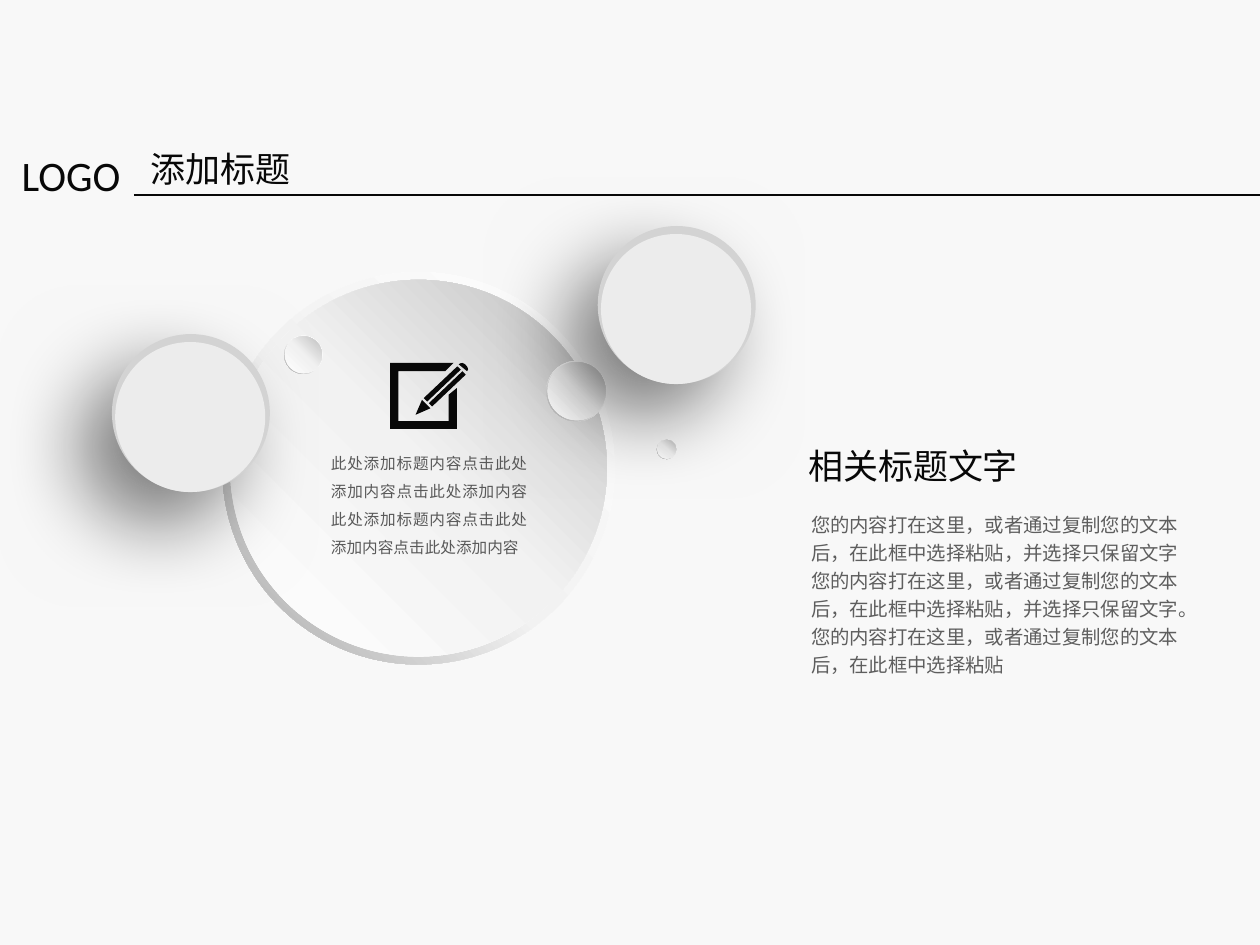
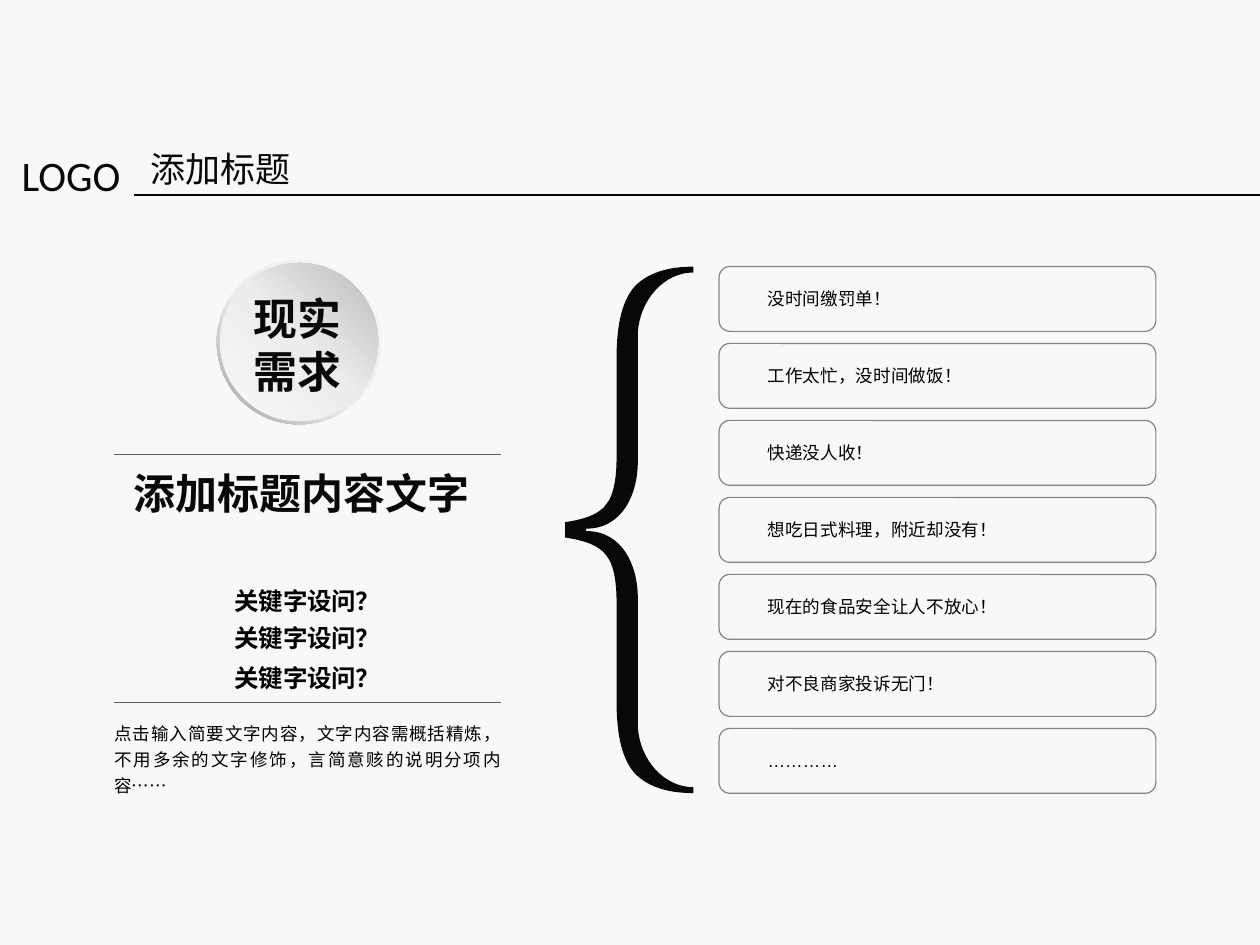
from dataclasses import dataclass
from lxml import etree
from pptx import Presentation
from pptx.dml.color import RGBColor
from pptx.enum.shapes import MSO_CONNECTOR, MSO_SHAPE
from pptx.enum.text import PP_ALIGN
from pptx.oxml.ns import qn
from pptx.util import Pt

STRAIGHT = MSO_CONNECTOR.STRAIGHT
OVAL, DONUT, ROUNDED = MSO_SHAPE.OVAL, MSO_SHAPE.DONUT, MSO_SHAPE.ROUNDED_RECTANGLE
LEFT, CENTER, JUSTIFY = PP_ALIGN.LEFT, PP_ALIGN.CENTER, PP_ALIGN.JUSTIFY

SANS, LATIN, LOGO_FONT = "Noto Sans CJK SC", "Arial", "Calibri"
PAPER, INK, BLACK = "F8F8F8", "080808", "000000"
BODY, RULE, FRAME = "595959", "5E5E5E", "848484"
PLATE_RIM, PLATE_FACE = "D3D3D3", "ECECEC"

Point = tuple[float, float]
Segment = tuple[Point, ...]  # one point for a line, three for a curve


@dataclass(frozen=True)
class Style:
    size: float
    color: str = INK
    font: str = LATIN
    bold: bool = False
    align: PP_ALIGN = LEFT
    spacing: float | Pt | None = None
    inset: Point = (0, 0)


@dataclass(frozen=True)
class Palette:
    """Light, middle, rim end and disc end of a shaded ball."""
    light: str
    middle: str
    rim: str
    disc: str


@dataclass(frozen=True)
class Circle:
    left: float
    top: float
    size: float


TITLE = Style(15, font=SANS, inset=(7.2, 3.6))
LOGO = Style(18, font=LOGO_FONT, inset=(7.2, 3.6))
BUBBLE = Style(6.7, BODY, SANS, align=JUSTIFY, spacing=1.5, inset=(4.3, 2.2))
HEADING = Style(15, font=SANS, inset=(4.3, 2.2))
PASSAGE = Style(8.3, RULE, SANS, spacing=1.2, inset=(3.6, 2.2))
HEADLINE = Style(18, bold=True, align=JUSTIFY)
QUESTION = Style(10.5, BLACK, bold=True, align=CENTER)
SUMMARY = Style(7.5, BLACK, align=JUSTIFY, spacing=Pt(11.2))
ITEM = Style(7.5, BLACK, align=JUSTIFY)
BADGE = Style(18.8, bold=True, align=CENTER)

BRIGHT = Palette("FFFFFF", "F2F2F2", "A6A6A6", "BFBFBF")
MUTED = Palette("F8F8F8", "ECECEC", "A1A1A1", "BABABA")


def rgb(color: str) -> RGBColor:
    return RGBColor.from_string(color)


def add_color(parent, color: str, opacity: int = 100) -> None:
    node = etree.SubElement(parent, qn("a:srgbClr"), val=color)
    if opacity < 100:
        etree.SubElement(node, qn("a:alpha"), val=str(opacity * 1000))


def fill_solid(shape, color: str, opacity: int = 100) -> None:
    shape.fill.solid()
    solid = shape._element.spPr.find(qn("a:solidFill"))
    solid.clear()
    add_color(solid, color, opacity)


def fill_gradient(shape, stops: list[tuple[int, str]], angle: int) -> None:
    shape.fill.gradient()
    gradient = shape._element.spPr.find(qn("a:gradFill"))
    stop_list = gradient.find(qn("a:gsLst"))
    stop_list.clear()
    for position, color in stops:
        add_color(etree.SubElement(stop_list, qn("a:gs"), pos=str(position * 1000)), color)
    gradient.find(qn("a:lin")).set("ang", str(angle * 60000))


def add_soft_shadow(shape, blur: float, distance: float, angle: int, opacity: int) -> None:
    effects = shape._element.spPr.find(qn("a:effectLst"))
    shadow = etree.SubElement(
        effects, qn("a:outerShdw"), blurRad=str(Pt(blur)), dist=str(Pt(distance)),
        dir=str(angle * 60000), algn="ctr", rotWithShape="0")
    add_color(shadow, BLACK, opacity)


def add_preset(page, kind: MSO_SHAPE, left: float, top: float, width: float, height: float):
    shape = page.shapes.add_shape(kind, Pt(left), Pt(top), Pt(width), Pt(height))
    shape.shadow.inherit = False
    shape.line.fill.background()
    return shape


def add_rule(page, left: float, right: float, top: float, color: str, width: float) -> None:
    line = page.shapes.add_connector(STRAIGHT, Pt(left), Pt(top), Pt(right), Pt(top))
    line.line.color.rgb = rgb(color)
    line.line.width = Pt(width)
    etree.SubElement(line._element.spPr, qn("a:effectLst"))


def add_text(page, left: float, top: float, width: float, height: float,
             lines: list[str], style: Style) -> None:
    box = page.shapes.add_textbox(Pt(left), Pt(top), Pt(width), Pt(height))
    frame = box.text_frame
    frame.word_wrap = True
    frame.margin_left = frame.margin_right = Pt(style.inset[0])
    frame.margin_top = frame.margin_bottom = Pt(style.inset[1])
    for index, line in enumerate(lines):
        para = frame.add_paragraph() if index else frame.paragraphs[0]
        para.alignment = style.align
        if style.spacing:
            para.line_spacing = style.spacing
        span = para.add_run()
        span.text = line
        span.font.size = Pt(style.size)
        span.font.name = style.font
        span.font.bold = style.bold
        span.font.color.rgb = rgb(style.color)
        properties = span._r.get_or_add_rPr()
        properties.set("lang", "zh-CN")
        etree.SubElement(properties, qn("a:ea"), typeface=SANS)


def add_outline(page, segments: list[Segment]) -> None:
    """Draw a closed outline; the first segment holds the starting point."""
    corners = [(Pt(x), Pt(y)) for segment in segments for x, y in segment]
    builder = page.shapes.build_freeform(*corners[0])
    builder.add_line_segments(corners[1:], close=True)
    shape = builder.convert_to_shape()
    shape.shadow.inherit = False
    shape.line.fill.background()
    fill_solid(shape, INK)
    # Join each three points of a curve into one cubic segment
    steps = iter(list(shape._element.spPr.iter(qn("a:lnTo"))))
    for segment in segments[1:]:
        first, *others = [next(steps) for _ in segment]
        if others:
            first.tag = qn("a:cubicBezTo")
            for step in others:
                first.append(step[0])
                step.getparent().remove(step)


def mirror(segments: list[Segment], middle: float) -> list[Segment]:
    """Flip an outline about a horizontal axis and run it backwards."""
    points = iter([(x, 2 * middle - y) for segment in reversed(segments)
                   for x, y in reversed(segment)])
    sizes = [1] + [len(segment) for segment in reversed(segments[1:])]
    return [tuple(next(points) for _ in range(size)) for size in sizes]


def add_ball(page, ball: Circle, palette: Palette) -> None:
    rim = add_preset(page, DONUT, ball.left, ball.top, ball.size, ball.size)
    rim.adjustments[0] = 0.05
    fill_gradient(rim, [(0, palette.light), (55, palette.middle), (100, palette.rim)], 135)
    size = ball.size * 0.96
    edge = (ball.size - size) / 2
    disc = add_preset(page, OVAL, ball.left + edge, ball.top + edge, size, size)
    fill_gradient(disc, [(0, palette.light), (51, palette.middle), (100, palette.disc)], 315)


def add_plate(page, plate: Circle) -> None:
    rim = add_preset(page, OVAL, plate.left, plate.top, plate.size, plate.size)
    fill_solid(rim, PLATE_RIM)
    add_soft_shadow(rim, blur=35, distance=20, angle=135, opacity=50)
    size = plate.size * 0.95
    face = add_preset(page, OVAL, plate.left + plate.size * 0.02,
                      plate.top + plate.size * 0.05, size, size)
    fill_solid(face, PLATE_FACE)


def add_polygon(page, points: list[Point]) -> None:
    add_outline(page, [(point,) for point in points])


def add_pencil_icon(page) -> None:
    # Tip and the two halves of the shaft
    add_polygon(page, [(184.5, 175), (180.9, 171.4), (178.1, 177.8)])
    add_polygon(page, [(196, 157), (181.6, 170.6), (183.1, 172.1), (197.5, 158.4)])
    add_polygon(page, [(183.8, 172.8), (185.2, 174.2), (199.6, 160.6), (198.2, 159.1)])
    # Cap
    add_outline(page, [((199.4, 156.2),),
                       ((198, 154.8), (196.6, 156.2), (196.6, 156.2)),
                       ((200.2, 159.1),),
                       ((200.2, 159.1), (201.6, 158.4), (199.4, 156.2))])
    # Sheet
    add_polygon(page, [(192.3, 180.5), (170.8, 180.5), (170.8, 159.1), (190.9, 159.1),
                       (194.5, 155.5), (167.2, 155.5), (167.2, 183.8), (195.9, 183.8),
                       (195.9, 166.3), (192.3, 169.2)])


def add_brace(page, middle: float) -> None:
    upper = [((242.2, 223.8),),
             ((251, 222.5), (257, 220.3), (260, 216)),
             ((263, 212.4), (264.3, 205.2), (264.3, 195.8)),
             ((264.3, 153.4),),
             ((264.3, 138.2), (267, 128.2), (272.4, 122.4)),
             ((278, 117), (286, 114.3), (297.2, 114.3)),
             ((297.2, 116.8),),
             ((285, 116.8), (274.4, 128), (273.4, 142.6)),
             ((273.4, 198),),
             ((273.4, 211.5), (267, 226.6), (251.3, 226.6))]
    add_outline(page, upper + mirror(upper, middle))


def add_page(deck):
    page = deck.slides.add_slide(deck.slide_layouts[6])
    page.background.fill.solid()
    page.background.fill.fore_color.rgb = rgb(PAPER)
    return page


def add_header(page) -> None:
    add_text(page, 57.6, 59.8, 201, 25, ["添加标题"], TITLE)
    add_rule(page, 57.4, 540, 83.5, INK, 0.75)
    add_text(page, 2.2, 60.5, 60, 29, ["LOGO"], LOGO)


def build_circles_page(deck) -> None:
    page = add_page(deck)
    # Main ball with its icon and text
    add_ball(page, Circle(95.3, 116.6, 168.2), BRIGHT)
    add_ball(page, Circle(121.8, 143.8, 16.5), BRIGHT)
    add_pencil_icon(page)
    add_text(page, 137.5, 188.5, 92.9, 53.3,
             ["此处添加标题内容点击此处添加内容点击此处添加内容"
              "此处添加标题内容点击此处添加内容点击此处添加内容"], BUBBLE)
    # Text on the right
    add_text(page, 342, 188.3, 162, 22.3, ["相关标题文字"], HEADING)
    add_text(page, 344, 215.9, 165.6, 75.6,
             ["您的内容打在这里，或者通过复制您的文本后，在此框中选择粘贴，并选择只保留文字"
              "您的内容打在这里，或者通过复制您的文本后，在此框中选择粘贴，并选择只保留文字。"
              "您的内容打在这里，或者通过复制您的文本后，在此框中选择粘贴"], PASSAGE)
    # Satellites
    add_plate(page, Circle(48, 143.2, 67.7))
    add_ball(page, Circle(234.2, 154.7, 25.9), BRIGHT)
    add_ball(page, Circle(281.5, 188.3, 8.5), BRIGHT)
    add_plate(page, Circle(256.2, 96.9, 67.7))
    add_header(page)


def build_needs_page(deck) -> None:
    page = add_page(deck)
    add_header(page)
    # Left column
    for top in (194.7, 301):
        add_rule(page, 49, 214.7, top, RULE, 0.5)
    add_text(page, 57.4, 200.5, 149, 21.6, ["添加标题内容文字"], HEADLINE)
    for top in (251.3, 267.1, 284.1):
        add_text(page, 85, top, 93.6, 13, ["关键字设问？"], QUESTION)
    add_text(page, 49, 307.5, 165.6, 22.3,
             ["点击输入简要文字内容，文字内容需概括精炼，"
              "不用多余的文字修饰，言简意赅的说明分项内容……"], SUMMARY)
    # Brace and list of needs
    add_brace(page, 227.1)
    needs = ["没时间缴罚单！", "工作太忙，没时间做饭！", "快递没人收！", "想吃日式料理，附近却没有！",
             "现在的食品安全让人不放心！", "对不良商家投诉无门！", "…………"]
    for index, need in enumerate(needs):
        top = 114.2 + 33 * index
        card = add_preset(page, ROUNDED, 308.2, top, 187.2, 27.8)
        fill_solid(card, PAPER, 62)
        card.line.color.rgb = rgb(FRAME)
        card.line.width = Pt(0.5)
        add_text(page, 329, top + 9.4, 136.8, 9.4, [need], ITEM)
    # Badge
    add_ball(page, Circle(92.9, 111.3, 70.6), MUTED)
    add_text(page, 90.4, 125, 74.2, 45.4, ["现实", "需求"], BADGE)


def main() -> None:
    deck = Presentation()
    deck.slide_width, deck.slide_height = Pt(540), Pt(405)
    build_circles_page(deck)
    build_needs_page(deck)
    deck.save("out.pptx")


if __name__ == "__main__":
    main()
